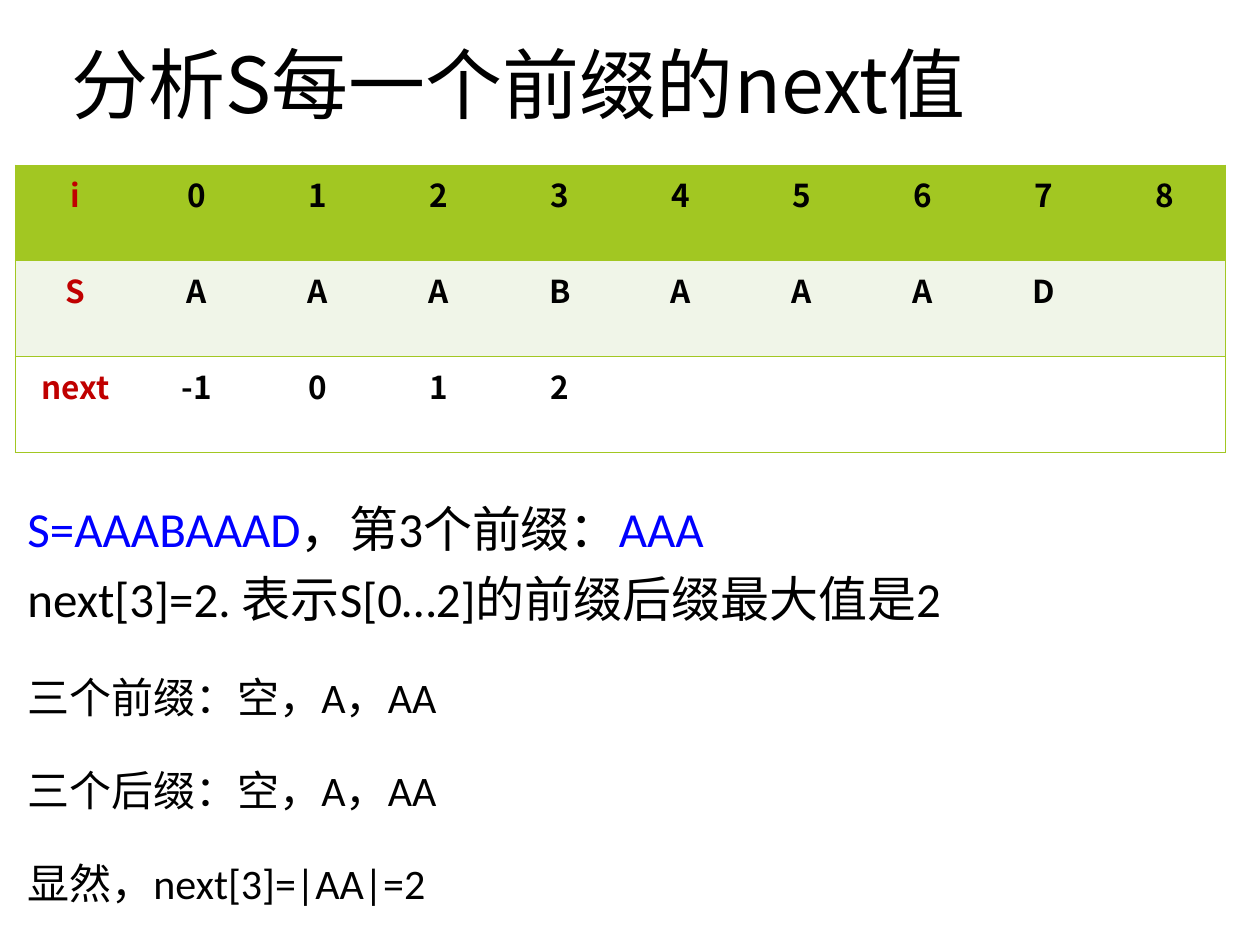
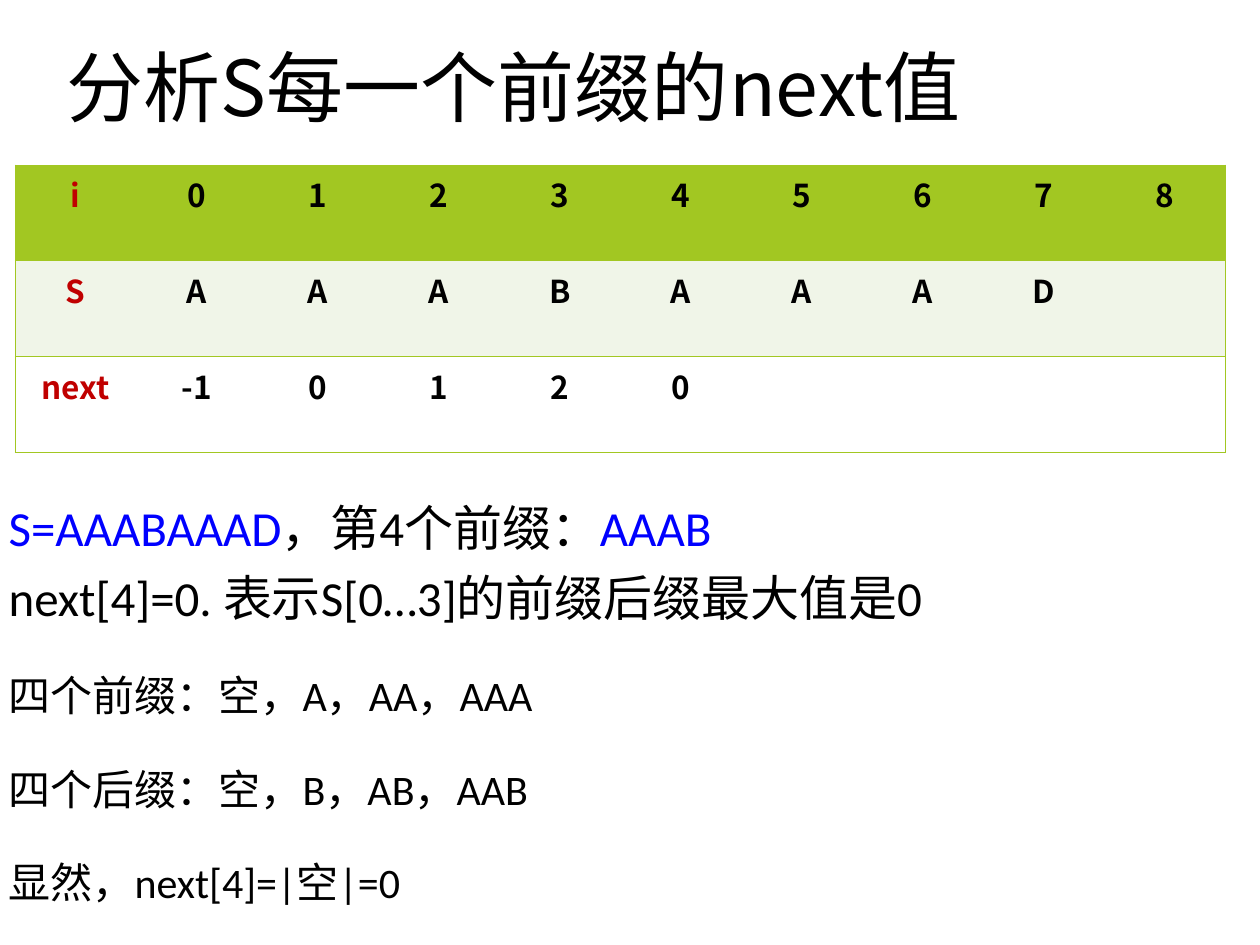
"""Build two slides that work out the next value of the prefixes of S."""
import dataclasses

import lxml.etree
import pptx
import pptx.dml.color
import pptx.enum.text
import pptx.oxml.ns
import pptx.util


@dataclasses.dataclass(frozen=True)
class Theme:
    ink: str = "000000"
    accent: str = "0000FF"
    label: str = "C00000"
    green: str = "A2C722"
    row_fills: tuple = ("A2C722", "F0F5E8", "FFFFFF")
    title_font: str = "Noto Sans CJK SC"
    body_font: str = "Calibri"
    title_size: int = 44
    lead_size: int = 28
    detail_size: int = 24
    table_size: int = 18
    border: float = 0.45


theme = Theme()
qualified = pptx.oxml.ns.qn


def add_run(paragraph, text, size, font, color=theme.ink, bold=False):
    run = paragraph.add_run()
    run.text = text
    run.font.size = pptx.util.Pt(size)
    run.font.bold = bold
    run.font.color.rgb = pptx.dml.color.RGBColor.from_string(color)
    run.font.name = font
    lxml.etree.SubElement(run.font._element, qualified("a:ea"), typeface=font)


def add_border(cell, side, visible):
    properties = cell._tc.get_or_add_tcPr()
    width = str(pptx.util.Pt(theme.border))
    line = lxml.etree.SubElement(properties, qualified(f"a:ln{side}"), w=width)
    if visible:
        fill = lxml.etree.SubElement(line, qualified("a:solidFill"))
        lxml.etree.SubElement(fill, qualified("a:srgbClr"), val=theme.green)
    else:
        lxml.etree.SubElement(line, qualified("a:noFill"))


presentation = pptx.Presentation()
presentation.slide_width = pptx.util.Inches(10)
presentation.slide_height = pptx.util.Inches(7.5)
column = presentation.slide_width / 100
row = presentation.slide_height / 75

title = "分析S每一个前缀的next值"
string = "AAABAAAD"
index_row = ["i", *"012345678"]
string_row = ["S", *string, ""]

steps = [
    {
        "title_at": (4.7, -0.2),
        "body_at": (1.2, 39.6),
        "next_values": ["-1", "0", "1", "2"],
        "prefix": "AAA",
        "lead": "next[3]=2. 表示S[0…2]的前缀后缀最大值是2",
        "details": ["三个前缀：空，A，AA", "三个后缀：空，A，AA", "显然，next[3]=|AA|=2"],
    },
    {
        "title_at": (4.3, 0),
        "body_at": (-0.3, 39.5),
        "next_values": ["-1", "0", "1", "2", "0"],
        "prefix": "AAAB",
        "lead": "next[4]=0. 表示S[0…3]的前缀后缀最大值是0",
        "details": ["四个前缀：空，A，AA，AAA", "四个后缀：空，B，AB，AAB", "显然，next[4]=|空|=0"],
    },
]

for step in steps:
    slide = presentation.slides.add_slide(presentation.slide_layouts[6])

    left, top = step["title_at"]
    title_box = slide.shapes.add_textbox(
        int(left * column), int(top * row), int(86.3 * column), int(14.5 * row))
    title_box.text_frame.word_wrap = True
    title_box.text_frame.vertical_anchor = pptx.enum.text.MSO_ANCHOR.MIDDLE
    paragraph = title_box.text_frame.paragraphs[0]
    paragraph.line_spacing = 0.9
    add_run(paragraph, title, theme.title_size, theme.title_font)

    left, top = step["body_at"]
    body_box = slide.shapes.add_textbox(
        int(left * column), int(top * row), int(97 * column), int(35.5 * row))
    body_box.text_frame.word_wrap = True
    prefix = step["prefix"]
    lead, detail = (0.9, theme.lead_size), (1.5, theme.detail_size)
    lines = [
        (lead, [("S=" + string, theme.accent),
                (f"，第{len(prefix)}个前缀：", theme.ink),
                (prefix, theme.accent)]),
        (lead, [(step["lead"], theme.ink)]),
        *[(detail, [(text, theme.ink)]) for text in step["details"]],
    ]
    for number, ((spacing, size), runs) in enumerate(lines):
        if number == 0:
            paragraph = body_box.text_frame.paragraphs[0]
        else:
            paragraph = body_box.text_frame.add_paragraph()
            paragraph.space_before = pptx.util.Pt(10)
        paragraph.line_spacing = spacing
        for text, color in runs:
            add_run(paragraph, text, size, theme.body_font, color)

    next_row = ["next", *step["next_values"]]
    next_row += [""] * (len(index_row) - len(next_row))
    table_rows = [index_row, string_row, next_row]
    table = slide.shapes.add_table(
        len(table_rows), len(index_row),
        int(1.2 * column), int(13.1 * row), int(96.1 * column), int(22.8 * row)).table
    last = len(index_row) - 1
    for row_number, (texts, row_fill) in enumerate(zip(table_rows, theme.row_fills)):
        for column_number, text in enumerate(texts):
            cell = table.cell(row_number, column_number)
            add_border(cell, "L", column_number == 0)
            add_border(cell, "R", column_number == last)
            add_border(cell, "T", True)
            add_border(cell, "B", True)
            cell.fill.solid()
            cell.fill.fore_color.rgb = pptx.dml.color.RGBColor.from_string(row_fill)
            paragraph = cell.text_frame.paragraphs[0]
            paragraph.alignment = pptx.enum.text.PP_ALIGN.CENTER
            if text:
                color = theme.label if column_number == 0 else theme.ink
                add_run(paragraph, text, theme.table_size, theme.title_font, color, True)

presentation.save("out.pptx")
